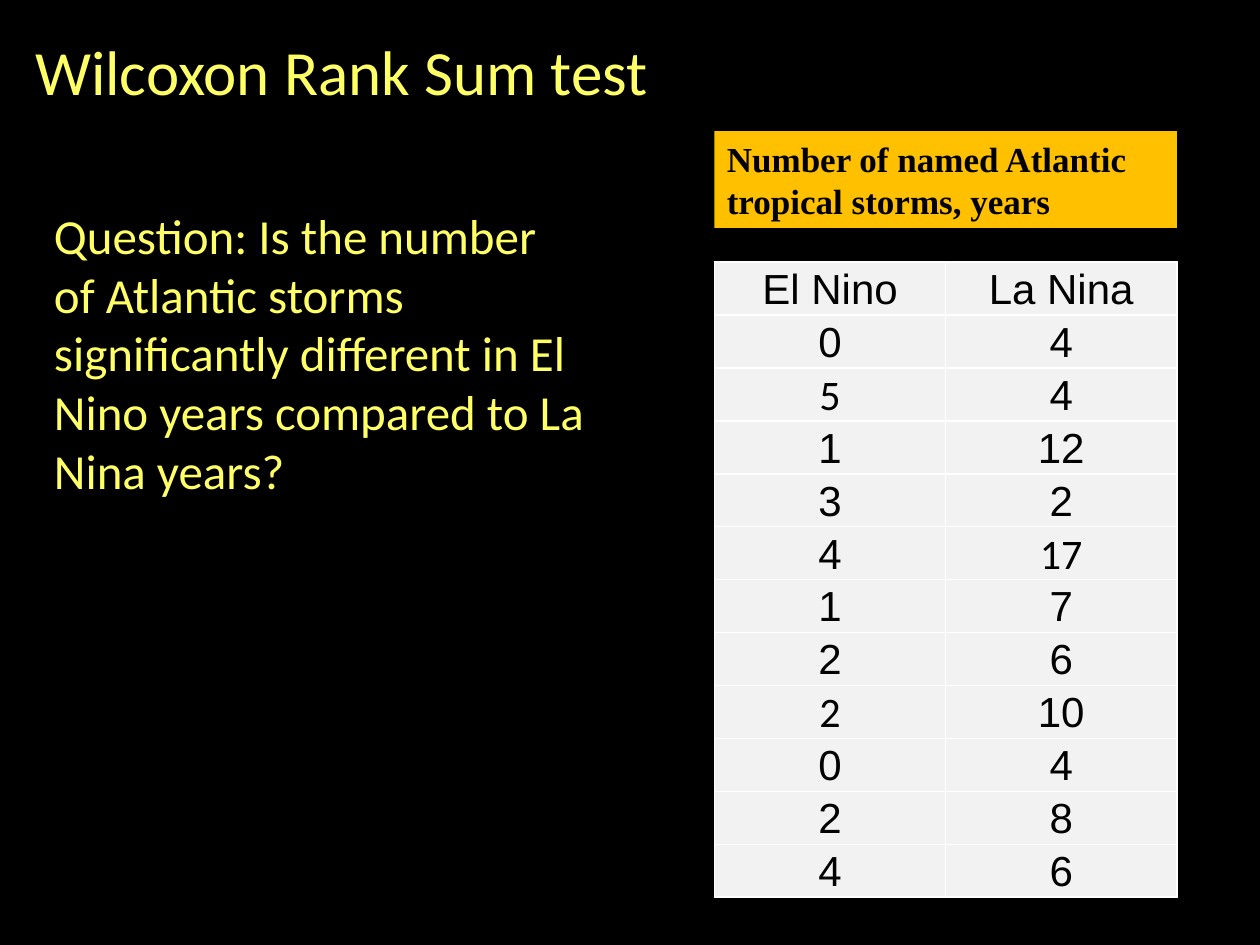
from dataclasses import dataclass

from lxml.etree import SubElement
from pptx import Presentation
from pptx.dml.color import RGBColor
from pptx.enum.shapes import MSO_SHAPE
from pptx.enum.text import MSO_ANCHOR as Anchor, PP_ALIGN as Align
from pptx.oxml.ns import qn
from pptx.util import Inches, Pt

BLACK, YELLOW, AMBER, PALE, WHITE = "000000", "FFFF66", "FFC000", "F2F2F2", "FFFFFF"


@dataclass
class Style:
    font: str
    size: int
    color: str
    bold: bool = False


@dataclass
class Panel:
    text: str
    left: float
    top: float
    width: float
    height: float
    style: Style
    anchor: Anchor = Anchor.TOP
    fill: str = ""


PANELS = [
    Panel("Wilcoxon Rank Sum test", 0.18, 0.17, 8.73, 0.77,
          Style("Calibri", 36, YELLOW), Anchor.MIDDLE),
    Panel("Number of named Atlantic tropical storms, years", 5.67, 1.04, 3.67, 0.77,
          Style("Times New Roman", 20, BLACK, True), Anchor.MIDDLE, AMBER),
    Panel("Question: Is the number of Atlantic storms significantly different "
          "in El Nino years compared to La Nina years?", 0.33, 1.58, 4.42, 4.81,
          Style("Calibri", 28, YELLOW)),
]
EL_NINO = [0, 5, 1, 3, 4, 1, 2, 2, 0, 2, 4]
LA_NINA = [4, 4, 12, 2, 17, 7, 6, 10, 4, 8, 6]
STORMS = [("El Nino", "La Nina"), *zip(EL_NINO, LA_NINA)]
CALIBRI_CELLS = {(2, 0), (5, 1), (8, 0)}


def paint(target, color: str) -> None:
    target.solid()
    target.fore_color.rgb = RGBColor.from_string(color)


def write(frame, text: str, style: Style, align: Align = Align.LEFT) -> None:
    frame.text = text
    para = frame.paragraphs[0]
    para.alignment = align
    for span in para.runs:
        span.font.name = style.font
        span.font.size = Pt(style.size)
        span.font.bold = style.bold
        paint(span.font.fill, style.color)


def draw_panel(page, panel: Panel) -> None:
    place = [Inches(n) for n in (panel.left, panel.top, panel.width, panel.height)]
    if panel.fill:
        box = page.shapes.add_shape(MSO_SHAPE.RECTANGLE, *place)
        box.shadow.inherit = False
        paint(box.fill, panel.fill)
        box.line.fill.background()
    else:
        box = page.shapes.add_textbox(*place)
    frame = box.text_frame
    frame.word_wrap = True
    frame.vertical_anchor = panel.anchor
    write(frame, panel.text, panel.style)


def add_borders(cell, color: str) -> None:
    properties = cell._tc.get_or_add_tcPr()
    for position, side in enumerate(("lnL", "lnR", "lnT", "lnB")):
        border = SubElement(properties, qn(f"a:{side}"), w=str(Pt(1)))
        fill = SubElement(border, qn("a:solidFill"))
        SubElement(fill, qn("a:srgbClr"), val=color)
        properties.insert(position, border)


def draw_table(page, rows: list) -> None:
    table = page.shapes.add_table(len(rows), 2, Inches(5.67), Inches(2.08),
                                  Inches(3.67), Inches(4.96)).table
    for row_index, values in enumerate(rows):
        for column_index, value in enumerate(values):
            cell = table.cell(row_index, column_index)
            cell.margin_left = cell.margin_right = cell.margin_top = Inches(0.02)
            cell.margin_bottom = 0
            cell.vertical_anchor = Anchor.MIDDLE
            paint(cell.fill, PALE)
            add_borders(cell, WHITE)
            font = "Calibri" if (row_index, column_index) in CALIBRI_CELLS else "Arial"
            write(cell.text_frame, str(value), Style(font, 24, BLACK), Align.CENTER)


def main() -> None:
    deck = Presentation()
    deck.slide_width, deck.slide_height = Inches(10), Inches(7.5)
    page = deck.slides.add_slide(deck.slide_layouts[6])
    paint(page.background.fill, BLACK)
    for panel in PANELS:
        draw_panel(page, panel)
    draw_table(page, STORMS)
    deck.save("out.pptx")


if __name__ == "__main__":
    main()
